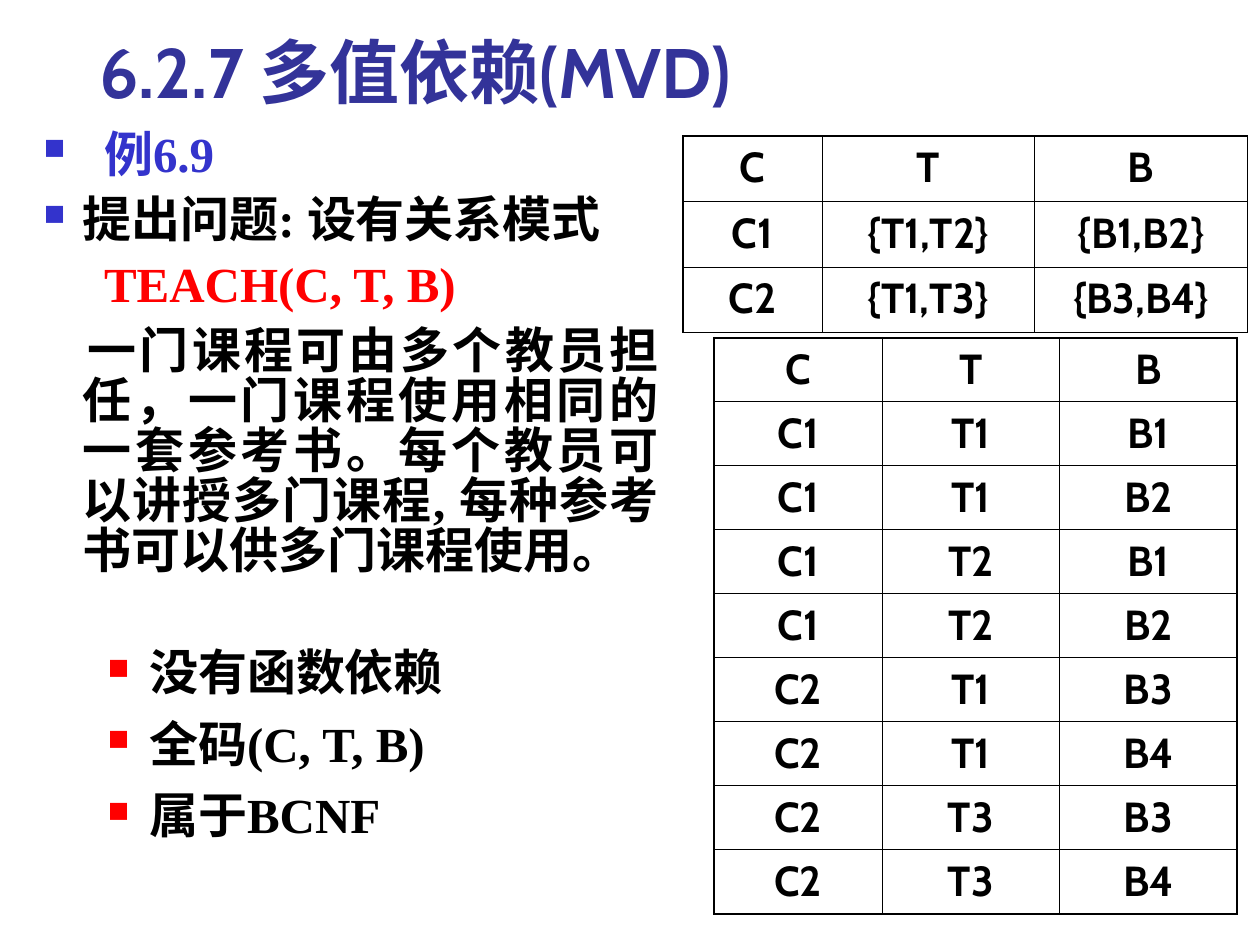
from dataclasses import dataclass

from lxml.etree import SubElement
from pptx import Presentation
from pptx.dml.color import RGBColor
from pptx.enum.text import MSO_ANCHOR, MSO_AUTO_SIZE, PP_ALIGN
from pptx.oxml.ns import qn
from pptx.util import Cm, Pt


@dataclass(frozen=True)
class Theme:
    title: str = "333399"
    accent: str = "3333CC"
    alert: str = "FF0000"
    ink: str = "000000"
    heading_font: str = "Cabin"
    body_font: str = "Times New Roman"
    title_size: float = 40
    body_size: float = 28
    cell_size: float = 24
    outer_line: float = 1.08
    inner_line: float = 0.45
    gap: float = 8.8


THEME = Theme()

# Text, text colour, bullet colour, left margin and first-line indent in cm
INTRO = [
    ("例6.9", THEME.accent, THEME.accent, 1.22, -1.22),
    ("提出问题: 设有关系模式", THEME.ink, THEME.accent, 0.79, -0.79),
    ("TEACH(C, T, B)", THEME.alert, None, 1.22, 0),
    ("一门课程可由多个教员担任，一门课程使用相同的一套参考书。"
     "每个教员可以讲授多门课程, 每种参考书可以供多门课程使用。",
     THEME.ink, None, 0.79, 0.1),
]
FINDINGS = [(text, THEME.ink, THEME.alert, 2.13, -0.84)
            for text in ("没有函数依赖", "全码(C, T, B)", "属于BCNF")]

HEADER = ("C", "T", "B")
COURSES = {"C1": (("T1", "T2"), ("B1", "B2")),
           "C2": (("T1", "T3"), ("B3", "B4"))}
NESTED = [HEADER] + [(c, "{" + ",".join(ts) + "}", "{" + ",".join(bs) + "}")
                     for c, (ts, bs) in COURSES.items()]
FLAT = [HEADER] + [(c, t, b) for c, (ts, bs) in COURSES.items()
                   for t in ts for b in bs]


def add_run(p, text, name, size, color):
    r = p.add_run()
    r.text = text
    for key, value in {"name": name, "size": Pt(size), "bold": True}.items():
        setattr(r.font, key, value)
    r.font.color.rgb = RGBColor.from_string(color)


def set_bullet(p, color):
    pPr = p._p.get_or_add_pPr()
    SubElement(SubElement(pPr, qn("a:buClr")), qn("a:srgbClr"), val=color)
    SubElement(pPr, qn("a:buSzPct"), val="60000")
    SubElement(pPr, qn("a:buChar"), char="■")


def place_title(s, text, left, top, width, height):
    sp = s.shapes.title
    box = {"left": left, "top": top, "width": width, "height": height}
    for key, value in box.items():
        setattr(sp, key, Cm(value))
    tf = sp.text_frame
    frame = {"auto_size": MSO_AUTO_SIZE.NONE, "word_wrap": True,
             "vertical_anchor": MSO_ANCHOR.BOTTOM}
    for key, value in frame.items():
        setattr(tf, key, value)
    p = tf.paragraphs[0]
    p.alignment = PP_ALIGN.CENTER
    add_run(p, text, THEME.heading_font, THEME.title_size, THEME.title)


def add_text_list(s, items, spacing, left, top, width, height):
    tf = s.shapes.add_textbox(Cm(left), Cm(top), Cm(width), Cm(height)).text_frame
    tf.word_wrap = True
    for i, (text, color, bullet, margin, indent) in enumerate(items):
        p = tf.add_paragraph() if i else tf.paragraphs[0]
        pPr = p._p.get_or_add_pPr()
        pPr.set("marL", str(Cm(margin)))
        pPr.set("indent", str(Cm(indent)))
        if bullet:
            set_bullet(p, bullet)
        layout = {"alignment": PP_ALIGN.JUSTIFY, "line_spacing": spacing,
                  "space_before": Pt(THEME.gap if i else 0)}
        for key, value in layout.items():
            setattr(p, key, value)
        add_run(p, text, THEME.body_font, THEME.body_size, color)


def set_borders(cell, outer_sides):
    """Rule all four sides of a cell, heavier on the table's outer edge."""
    tcPr = cell._tc.get_or_add_tcPr()
    for side in "LRTB":
        weight = THEME.outer_line if side in outer_sides else THEME.inner_line
        ln = SubElement(tcPr, qn(f"a:ln{side}"), w=str(Pt(weight)))
        fill = SubElement(ln, qn("a:solidFill"))
        SubElement(fill, qn("a:srgbClr"), val=THEME.ink)


def add_relation(s, rows, col_widths, row_height, left, top):
    n_rows, n_cols = len(rows), len(col_widths)
    table = s.shapes.add_table(n_rows, n_cols, Cm(left), Cm(top),
                               Cm(sum(col_widths)), Cm(row_height * n_rows)).table
    table.first_row = table.horz_banding = False
    for column, width in zip(table.columns, col_widths):
        column.width = Cm(width)
    for i, values in enumerate(rows):
        table.rows[i].height = Cm(row_height)
        for j, value in enumerate(values):
            cell = table.cell(i, j)
            edges = {"L": j == 0, "R": j == n_cols - 1,
                     "T": i == 0, "B": i == n_rows - 1}
            set_borders(cell, [side for side, outer in edges.items() if outer])
            cell.fill.background()
            p = cell.text_frame.paragraphs[0]
            p.alignment = PP_ALIGN.CENTER
            add_run(p, value, THEME.heading_font, THEME.cell_size, THEME.ink)


def main():
    prs = Presentation()
    prs.slide_width, prs.slide_height = Cm(25.4), Cm(19.05)
    s = prs.slides.add_slide(prs.slide_layouts[5])
    place_title(s, "6.2.7 多值依赖(MVD)", 0.43, 0.43, 15.88, 1.96)
    add_text_list(s, INTRO, 0.85, 0.63, 2.54, 12.9, 10.36)
    add_relation(s, FLAT, (3.38, 3.58, 3.58), 1.29, 14.4, 6.81)
    add_relation(s, NESTED, (2.8, 4.29, 4.29), 1.32, 13.77, 2.74)
    add_text_list(s, FINDINGS, 0.95, 0.63, 12.9, 13.13, 4.45)
    prs.save("out.pptx")


if __name__ == "__main__":
    main()
